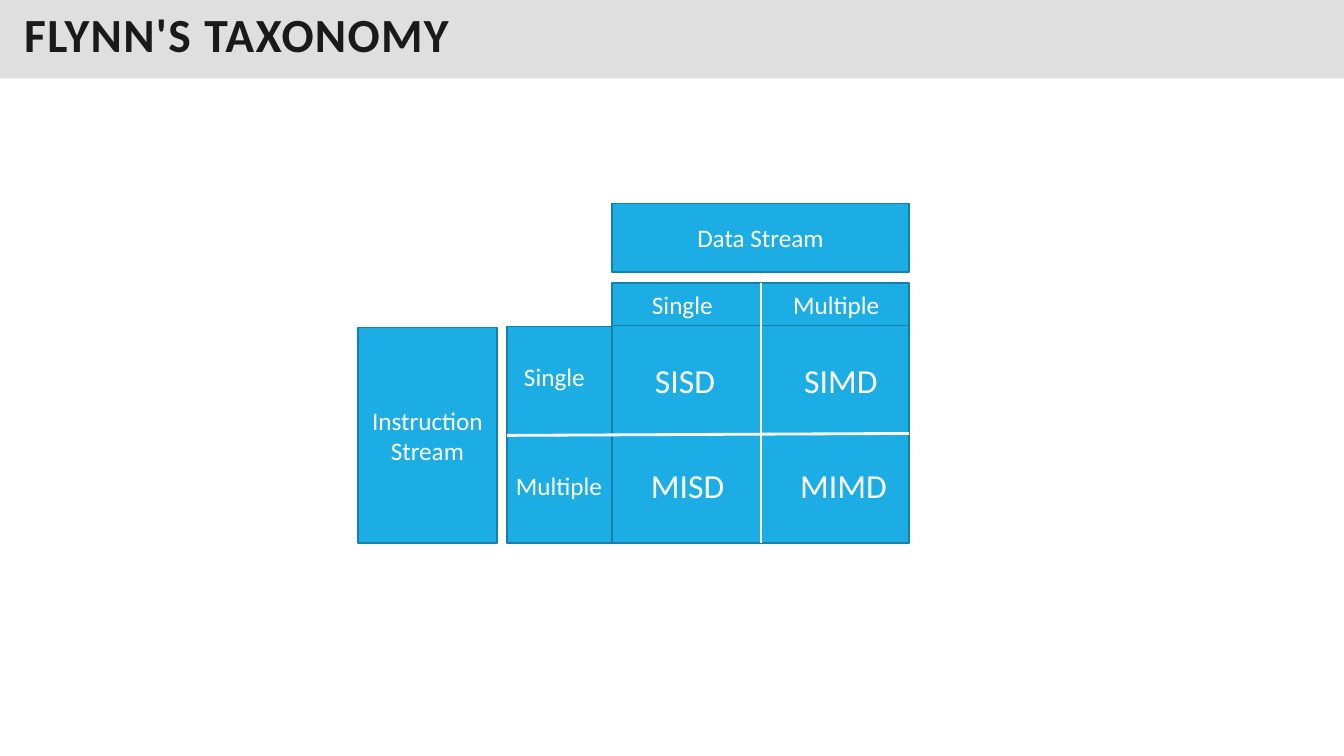
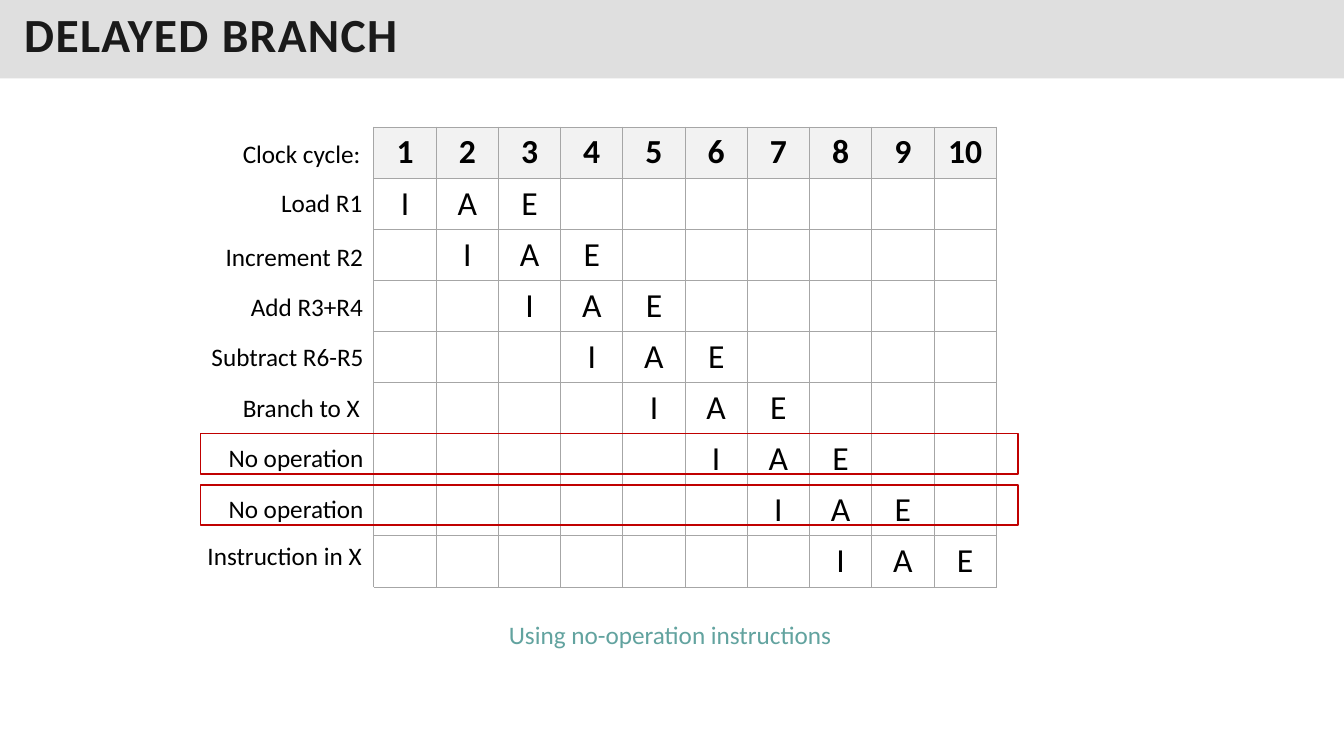
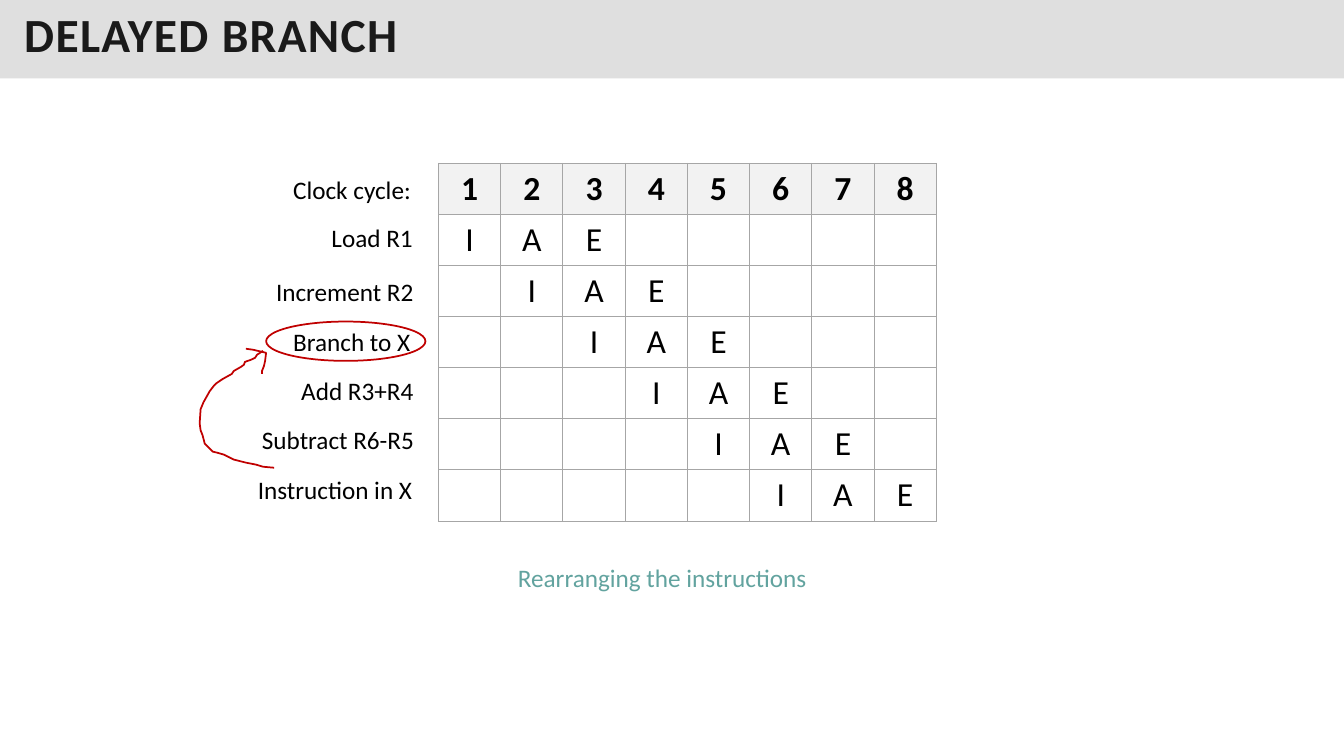
from dataclasses import dataclass
from typing import NamedTuple

from lxml import etree
from pptx import Presentation
from pptx import util as u
from pptx.dml import color
from pptx.enum import shapes, text
from pptx.oxml import ns

FONT = "Calibri"
WHITE, BLACK = "FFFFFF", "000000"
BLUE, BLUE_EDGE = "1CADE4", "1580A9"
RED, TEAL = "C00000", "62A39F"
BAND, TITLE = "C0C0C0", "1A1A1A"
HEADER_FILL, GRID = "F2F2F2", "A6A6A6"
COLUMN_WIDTH, ROW_HEIGHT = 44.45, 36.5
STAGES = "IAE"


class Box(NamedTuple):
    left: float
    top: float
    width: float
    height: float

    def lengths(self) -> list:
        return [u.Pt(value) for value in self]


class Line(NamedTuple):
    x1: float
    y1: float
    x2: float
    y2: float


class Label(NamedTuple):
    words: str
    left: float
    top: float
    width: float
    size: float = 18


class Span(NamedTuple):
    left: float
    width: float


@dataclass
class Pipeline:
    left: float
    top: float
    cycles: int
    label_shift: float
    rows: dict
    caption: Label


INSTRUCTION_SPANS = {
    "Clock cycle:": Span(166.3, 99.4),
    "Load R1": Span(193.7, 73.4),
    "Increment R2": Span(154.1, 113.8),
    "Add R3+R4": Span(172.1, 95.8),
    "Subtract R6-R5": Span(144, 124.6),
    "Branch to X": Span(166.3, 99.4),
    "No operation": Span(156.2, 112.3),
    "Instruction in X": Span(141.1, 126),
}

TAXONOMY_BOXES = [
    (Box(437, 145.4, 212.4, 49), "Data Stream"),
    (Box(255.6, 234, 99.4, 154), "Instruction Stream"),
    (Box(437, 231.1, 212.4, 157), ""),
    (Box(437, 202.3, 212.4, 30.2), ""),
    (Box(362.2, 233.3, 74.9, 154.8), ""),
]
TAXONOMY_LINES = [
    Line(543.6, 233.3, 543.6, 388.1),
    Line(543.6, 202.3, 543.6, 233.3),
    Line(362.2, 311, 649.4, 309.6),
]
TAXONOMY_LABELS = [
    Label("Single", 458.6, 203, 58.3),
    Label("Multiple", 559.4, 203, 77),
    Label("Single", 367.2, 254.2, 58.3),
    Label("Multiple", 361.4, 332.6, 77),
    Label("SISD", 460.8, 253.4, 57.6, 24),
    Label("SIMD", 567.4, 253.4, 67, 24),
    Label("MISD", 457.9, 328.3, 67, 24),
    Label("MIMD", 564.5, 328.3, 77, 24),
]

NO_OPERATION = Pipeline(
    267.1, 90.7, 10, 0,
    {
        95: "Clock cycle:", 130.3: "Load R1", 168.5: "Increment R2",
        204.5: "Add R3+R4", 240.5: "Subtract R6-R5", 276.5: "Branch to X",
        312.5: "No operation", 348.5: "No operation", 382.3: "Instruction in X",
    },
    Label("Using no-operation instructions", 356.4, 438.5, 247.7),
)
REARRANGED = Pipeline(
    313.2, 116.6, 8, 36,
    {
        121: "Clock cycle:", 155.5: "Load R1", 193.7: "Increment R2",
        229.7: "Branch to X", 264.2: "Add R3+R4", 299.5: "Subtract R6-R5",
        335.5: "Instruction in X",
    },
    Label("Rearranging the instructions", 362.9, 398.2, 223.2),
)

ARROW_SHAFT = [
    (195.8, 334.1), (187.9, 333.4), (182.9, 331.9), (175.7, 330.5),
    (167, 328.3), (159.8, 324.7), (154.8, 323.3), (151.9, 322.6),
    (148.3, 319), (146.2, 316.8), (144.7, 311), (143.3, 307.4),
    (142.6, 302.4), (143.3, 292.3), (145.4, 287.3), (149.8, 279.4),
    (152.6, 275.8), (154.8, 273.6), (159.1, 270.7), (165.6, 267.1),
    (167, 265), (172.1, 262.1), (174.2, 260.6), (175, 258.5),
    (179.3, 257), (182.2, 255.6), (183.6, 253.4), (185.8, 252), (187.9, 250.6),
]
ARROW_HEAD = [
    (175.7, 249.1), (180.7, 249.8), (190.1, 252), (189.4, 257.8),
    (188.6, 261.4), (187.2, 265), (187.2, 267.1),
]


def colour(value: str) -> color.RGBColor:
    return color.RGBColor.from_string(value)


def add_run(paragraph, words: str, size: float, ink: str, bold: bool = False):
    run = paragraph.add_run()
    run.text = words
    run.font.name = FONT
    run.font.size = u.Pt(size)
    run.font.bold = bold
    run.font.color.rgb = colour(ink)
    return run


def add_slide(presentation, words: str):
    slide = presentation.slides.add_slide(presentation.slide_layouts[5])
    title = slide.shapes.title
    title.left, title.top, title.width, title.height = Box(0, 0, 960, 56).lengths()
    title.fill.solid()
    title.fill.fore_color.rgb = colour(BAND)
    solid = title._element.spPr.find(ns.qn("a:solidFill"))
    etree.SubElement(solid[0], ns.qn("a:alpha"), val="50000")
    frame = title.text_frame
    frame.auto_size = text.MSO_AUTO_SIZE.NONE
    frame.vertical_anchor = text.MSO_ANCHOR.MIDDLE
    frame.margin_left = frame.margin_right = u.Pt(17.3)
    frame.margin_top = frame.margin_bottom = u.Pt(8.64)
    paragraph = frame.paragraphs[0]
    paragraph.alignment = text.PP_ALIGN.LEFT
    paragraph.line_spacing = 0.8
    run = add_run(paragraph, words, 34, TITLE, True)
    run.font._element.set("spc", "100")
    return slide


def style_outline(shape, edge: str, fill: str = "") -> None:
    shape.shadow.inherit = False
    shape.line.color.rgb = colour(edge)
    shape.line.width = u.Pt(1.25)
    if fill:
        shape.fill.solid()
        shape.fill.fore_color.rgb = colour(fill)
    else:
        shape.fill.background()


def add_outline(slide, kind, box: Box, edge: str, fill: str = ""):
    shape = slide.shapes.add_shape(kind, *box.lengths())
    style_outline(shape, edge, fill)
    return shape


def add_blue_box(slide, box: Box, words: str) -> None:
    shape = add_outline(slide, shapes.MSO_SHAPE.RECTANGLE, box, BLUE_EDGE, BLUE)
    if words:
        frame = shape.text_frame
        frame.word_wrap = True
        frame.vertical_anchor = text.MSO_ANCHOR.MIDDLE
        paragraph = frame.paragraphs[0]
        paragraph.alignment = text.PP_ALIGN.CENTER
        add_run(paragraph, words, 18, WHITE)


def add_line(slide, line: Line) -> None:
    connector = slide.shapes.add_connector(
        shapes.MSO_CONNECTOR.STRAIGHT, *[u.Pt(value) for value in line])
    connector.line.color.rgb = colour(WHITE)
    connector.line.width = u.Pt(2)
    etree.SubElement(connector._element.spPr, ns.qn("a:effectLst"))


def add_label(slide, label: Label, ink: str) -> None:
    height = 29 if label.size == 18 else 36
    box = Box(label.left, label.top, label.width, height)
    frame = slide.shapes.add_textbox(*box.lengths()).text_frame
    frame.word_wrap = False
    frame.auto_size = text.MSO_AUTO_SIZE.SHAPE_TO_FIT_TEXT
    add_run(frame.paragraphs[0], label.words, label.size, ink)


def add_stroke(slide, points: list) -> None:
    first, *rest = [(u.Pt(x), u.Pt(y)) for x, y in points]
    builder = slide.shapes.build_freeform(*first)
    builder.add_line_segments(rest, close=False)
    style_outline(builder.convert_to_shape(), RED)


def format_cell(cell, words: str, header: bool) -> None:
    properties = cell._tc.get_or_add_tcPr()
    for side in ("lnL", "lnR", "lnT", "lnB"):
        border = etree.SubElement(properties, ns.qn(f"a:{side}"), w=str(u.Pt(0.75)))
        solid = etree.SubElement(border, ns.qn("a:solidFill"))
        etree.SubElement(solid, ns.qn("a:srgbClr"), val=GRID)
    cell.fill.solid()
    cell.fill.fore_color.rgb = colour(HEADER_FILL if header else WHITE)
    if words:
        paragraph = cell.text_frame.paragraphs[0]
        paragraph.alignment = text.PP_ALIGN.CENTER
        add_run(paragraph, words, 24, BLACK, header)


def add_pipeline(slide, pipeline: Pipeline) -> None:
    row_count = len(pipeline.rows)
    box = Box(pipeline.left, pipeline.top,
              pipeline.cycles * COLUMN_WIDTH, row_count * ROW_HEIGHT)
    table = slide.shapes.add_table(row_count, pipeline.cycles, *box.lengths()).table
    table.first_row = table.horz_banding = False
    for column in table.columns:
        column.width = u.Pt(COLUMN_WIDTH)
    for index, row in enumerate(table.rows):
        row.height = u.Pt(ROW_HEIGHT)
        for cycle, cell in enumerate(row.cells, start=1):
            stage = cycle - index
            if index == 0:
                words = str(cycle)
            else:
                words = STAGES[stage] if 0 <= stage < len(STAGES) else ""
            format_cell(cell, words, index == 0)
    for top, words in pipeline.rows.items():
        span = INSTRUCTION_SPANS[words]
        left = span.left + pipeline.label_shift
        add_label(slide, Label(words, left, top, span.width), BLACK)
    add_label(slide, pipeline.caption, TEAL)


def build_taxonomy(presentation) -> None:
    slide = add_slide(presentation, "FLYNN'S TAXONOMY")
    for box, words in TAXONOMY_BOXES:
        add_blue_box(slide, box, words)
    for line in TAXONOMY_LINES:
        add_line(slide, line)
    for label in TAXONOMY_LABELS:
        add_label(slide, label, WHITE)


def build_no_operation(presentation) -> None:
    slide = add_slide(presentation, "DELAYED BRANCH")
    add_pipeline(slide, NO_OPERATION)
    for top in (309.6, 346.3):
        add_outline(slide, shapes.MSO_SHAPE.RECTANGLE, Box(143.3, top, 583.9, 28.8), RED)


def build_rearranged(presentation) -> None:
    slide = add_slide(presentation, "DELAYED BRANCH")
    add_pipeline(slide, REARRANGED)
    add_outline(slide, shapes.MSO_SHAPE.OVAL, Box(190.1, 229.7, 113.8, 28.1), RED)
    for points in (ARROW_SHAFT, ARROW_HEAD):
        add_stroke(slide, points)


def main() -> None:
    presentation = Presentation()
    presentation.slide_width, presentation.slide_height = u.Pt(960), u.Pt(540)
    build_taxonomy(presentation)
    build_no_operation(presentation)
    build_rearranged(presentation)
    presentation.save("out.pptx")


if __name__ == "__main__":
    main()
